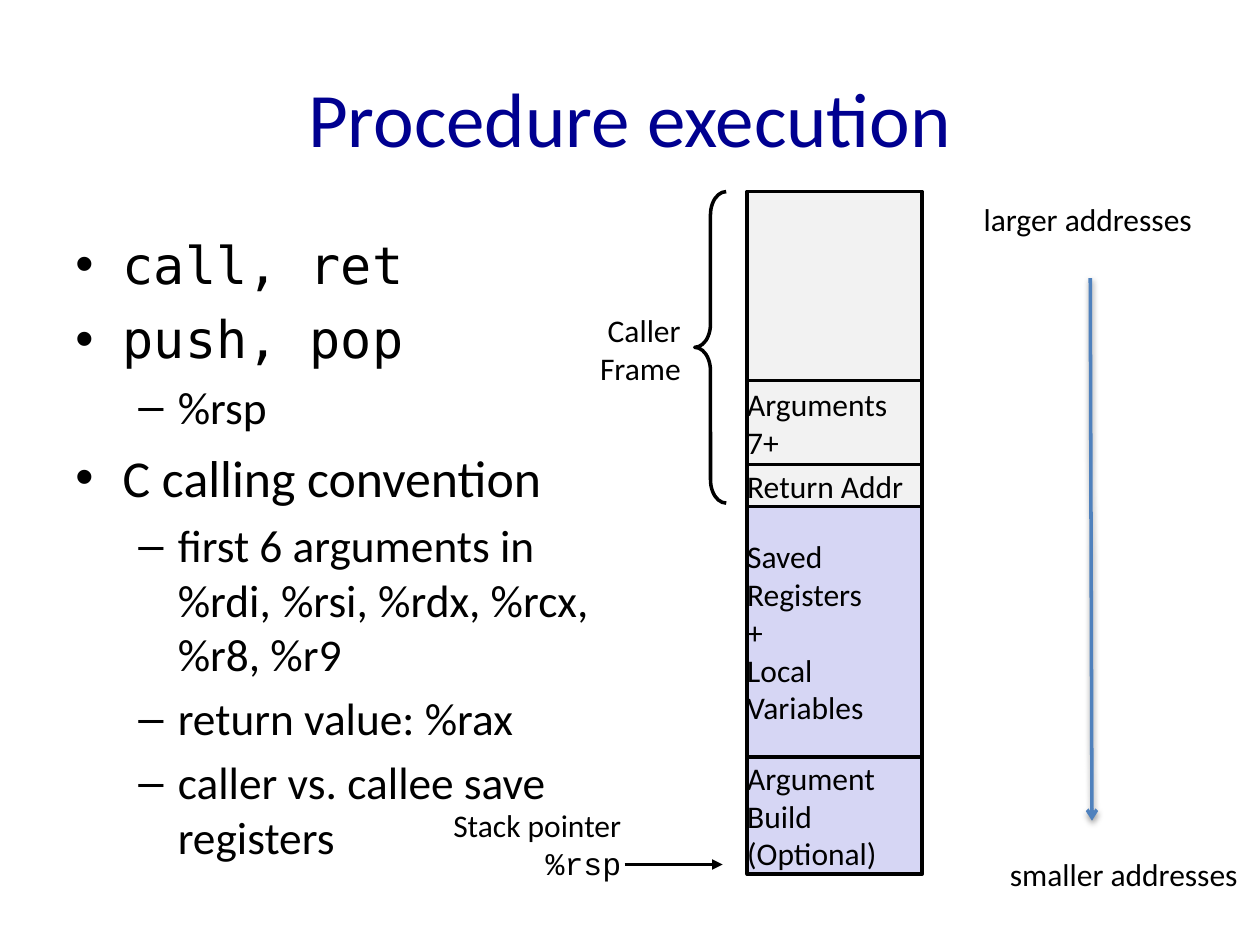
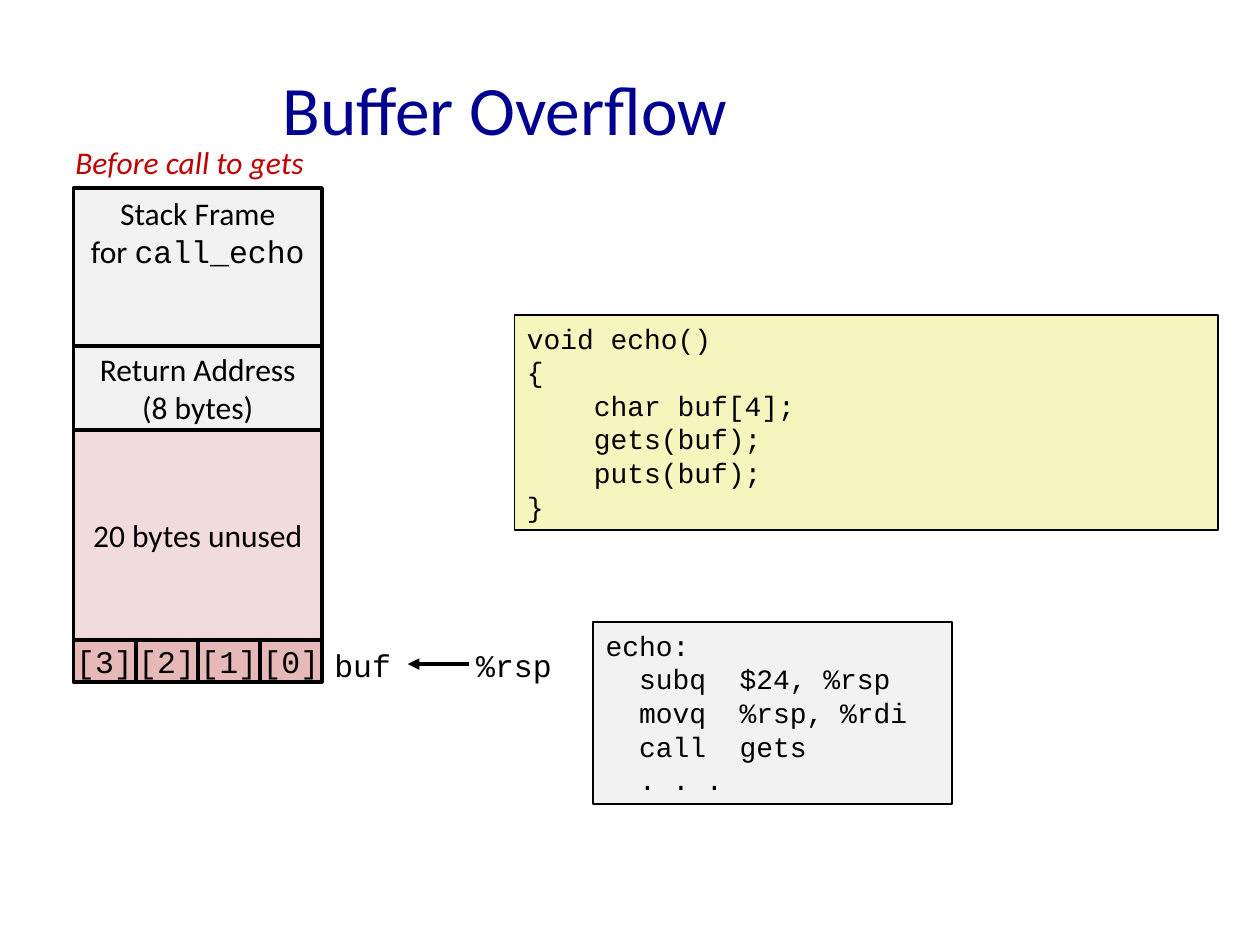
from lxml.etree import SubElement
from pptx import Presentation
from pptx.dml.color import RGBColor
from pptx.enum.shapes import MSO_CONNECTOR as Line, MSO_SHAPE as Shape
from pptx.enum.text import MSO_ANCHOR as Anchor, MSO_AUTO_SIZE as Auto, PP_ALIGN as Align
from pptx.oxml.ns import qn
from pptx.util import Pt

BLACK = RGBColor(0x00, 0x00, 0x00)
NAVY = RGBColor(0x00, 0x00, 0x90)
RED = RGBColor(0xC0, 0x00, 0x00)
BLUE = RGBColor(0x4F, 0x81, 0xBD)
GREY = RGBColor(0xF2, 0xF2, 0xF2)
LILAC = RGBColor(0xD6, 0xD6, 0xF4)
CREAM = RGBColor(0xF6, 0xF5, 0xBD)
PINK = RGBColor(0xF2, 0xDC, 0xDB)
ROSE = RGBColor(0xE6, 0xB9, 0xB8)

SANS, MONO, WIDE = "Calibri", "Courier New", "DejaVu Sans Mono"
INSET = (7.2, 3.6, 7.2, 3.6)
BULLETS = (("•", 27, 27, 29.6, 7), ("–", 58.5, 22.5, 25.9, 5.5))


def put(shape, text, size=18, font=SANS, color=BLACK, align=Align.LEFT,
        anchor=Anchor.TOP, inset=INSET, wrap=True, italic=False):
    """Fill a shape with one paragraph per line; `backticks` switch to MONO."""
    frame = shape.text_frame
    frame.word_wrap = wrap
    frame.vertical_anchor = anchor
    (frame.margin_left, frame.margin_top,
     frame.margin_right, frame.margin_bottom) = map(Pt, inset)
    for row, line in enumerate(text.split("\n")):
        para = frame.add_paragraph() if row else frame.paragraphs[0]
        para.alignment = align
        for part, words in enumerate(line.split("`")):
            if words:
                run = para.add_run()
                run.text = words
                run.font.size = Pt(size)
                run.font.name = MONO if part % 2 else font
                run.font.italic = italic
                run.font.color.rgb = color


def text_box(slide, box, text, **style):
    shape = slide.shapes.add_textbox(*map(Pt, box))
    put(shape, text, **style)
    return shape


def label(slide, box, text, **style):
    """One unwrapped line in a box that fits it."""
    shape = text_box(slide, box, text, wrap=False, **style)
    shape.text_frame.auto_size = Auto.SHAPE_TO_FIT_TEXT


def title(slide, box, text, size):
    text_box(slide, box, text, size=size, color=NAVY,
             align=Align.CENTER, anchor=Anchor.MIDDLE)


def block(slide, box, fill, text, weight, **style):
    shape = slide.shapes.add_shape(Shape.RECTANGLE, *map(Pt, box))
    shape.shadow.inherit = False
    shape.fill.solid()
    shape.fill.fore_color.rgb = fill
    shape.line.color.rgb = BLACK
    shape.line.width = Pt(weight)
    put(shape, text, **style)


def stack(slide, x, y, width, cells, weight, **style):
    """Pile up cells of (height, fill, text, own style); return the foot."""
    for height, fill, text, own in cells:
        block(slide, (x, y, width, height), fill, text, weight, **{**style, **own})
        y += height
    return y


def arrow(slide, start, end, color=BLACK, weight=2, head="triangle", shade=False):
    line = slide.shapes.add_connector(Line.STRAIGHT, *map(Pt, start + end))
    line.line.color.rgb = color
    line.line.width = Pt(weight)
    props = line._element.spPr
    SubElement(props.find(qn("a:ln")), qn("a:tailEnd"), type=head)
    effect = SubElement(props, qn("a:effectLst"))
    if shade:
        drop = SubElement(effect, qn("a:outerShdw"), blurRad="40000",
                          dist="20000", dir="5400000", rotWithShape="0")
        tint = SubElement(drop, qn("a:srgbClr"), val=str(BLACK))
        SubElement(tint, qn("a:alpha"), val="38000")


def brace(slide, box):
    shape = slide.shapes.add_shape(Shape.LEFT_BRACE, *map(Pt, box))
    shape.shadow.inherit = False
    shape.adjustments[0] = 0.74
    shape.fill.background()
    shape.line.color.rgb = BLACK
    shape.line.width = Pt(2)


def bullets(slide, box, items):
    frame = slide.shapes.add_textbox(*map(Pt, box)).text_frame
    frame.word_wrap = True
    frame.margin_top = Pt(7)
    for row, (level, font, text) in enumerate(items):
        mark, left, hang, size, gap = BULLETS[level]
        para = frame.add_paragraph() if row else frame.paragraphs[0]
        para.level = level
        if row:
            para.space_before = Pt(gap)
        props = para._p.get_or_add_pPr()
        props.set("marL", str(Pt(left)))
        props.set("indent", str(-Pt(hang)))
        SubElement(props, qn("a:buFont"), typeface="Arial")
        SubElement(props, qn("a:buChar"), char=mark)
        run = para.add_run()
        run.text = text
        run.font.size = Pt(size)
        run.font.name = font
        run.font.color.rgb = BLACK


def frame_map(slide, x, y):
    """Stack frame with its brace and stack pointer."""
    foot = stack(slide, x, y, 100, (
        (108, GREY, "", {}),
        (48, GREY, "Arguments\n7+", {}),
        (24, GREY, "Return Addr", {}),
        (143, LILAC, "Saved\nRegisters\n+\nLocal\nVariables", {}),
        (67, LILAC, "Argument\nBuild\n(Optional)", {}),
    ), 2, anchor=Anchor.MIDDLE, inset=(0, 0, 0, 0))
    side = dict(align=Align.RIGHT, inset=(3, 3, 3, 3))
    label(slide, (x - 89, y + 65.5, 54, 50), "Caller\nFrame", **side)
    brace(slide, (x - 30, y, 18, 178))
    text_box(slide, (x - 186, foot - 42, 117, 48), "Stack pointer\n`%rsp`", **side)
    arrow(slide, (x - 70, foot - 5.5), (x - 14, foot - 5.5))


def scale(slide, x, y):
    """Direction in which addresses shrink."""
    label(slide, (x, y, 135, 29), "larger addresses")
    arrow(slide, (x + 68, y + 48), (x + 69, y + 358), BLUE, head="arrow", shade=True)
    label(slide, (x + 15, y + 374, 146, 29), "smaller addresses")


def buffer_map(slide, x, y):
    """Stack with the bytes of buf at its foot."""
    width, size, weight = 142, 24, 2.25
    style = dict(align=Align.CENTER, anchor=Anchor.MIDDLE, wrap=False)
    label(slide, (x - 6, y - 29.5, 150, 29), "Before call to gets", color=RED, italic=True)
    foot = stack(slide, x, y, width, (
        (90, GREY, "Stack Frame\nfor `call_echo`", {"anchor": Anchor.TOP}),
        (48, GREY, "Return Address\n(8 bytes)", {}),
        (120, PINK, "20 bytes unused", {}),
    ), weight, **style)
    step = width / 4
    for col in range(4):
        block(slide, (x + col * step, foot, step, size), ROSE, f"[{3 - col}]",
              weight, font=MONO, **style)
    label(slide, (x + width, foot, 47, 29), "buf", font=MONO)
    arrow(slide, (x + 226, foot + 14), (x + 191, foot + 14), weight=weight)
    label(slide, (x + 223, foot, 58, 29), "%rsp", font=MONO)


def code(slide, box, fill, text):
    block(slide, box, fill, text, 1, size=16, font=MONO)


def procedure(slide):
    title(slide, (36, 21.6, 648, 90), "Procedure execution", 44)
    frame_map(slide, 427, 109.5)
    bullets(slide, (36, 126, 322, 356), (
        (0, WIDE, "call, ret"),
        (0, WIDE, "push, pop"),
        (1, SANS, "%rsp"),
        (0, SANS, "C calling convention"),
        (1, SANS, "first 6 arguments in %rdi, %rsi, %rdx, %rcx, %r8, %r9"),
        (1, SANS, "return value: %rax"),
        (1, SANS, "caller vs. callee save registers"),
    ))
    scale(slide, 555, 111)


def overflow(slide):
    title(slide, (33, 39, 511, 45), "Buffer Overflow", 39.6)
    code(slide, (339, 355.5, 205, 104), GREY,
         "echo:\n  subq  $24, %rsp\n  movq  %rsp, %rdi\n  call  gets\n  . . .")
    code(slide, (294, 180, 402, 123), CREAM,
         "void echo()\n{\n    char buf[4];\n    gets(buf);\n    puts(buf);\n}")
    buffer_map(slide, 42, 107.5)


def main():
    deck = Presentation()
    deck.slide_width, deck.slide_height = Pt(720), Pt(540)
    for build in (procedure, overflow):
        build(deck.slides.add_slide(deck.slide_layouts[6]))
    deck.save("out.pptx")


if __name__ == "__main__":
    main()
